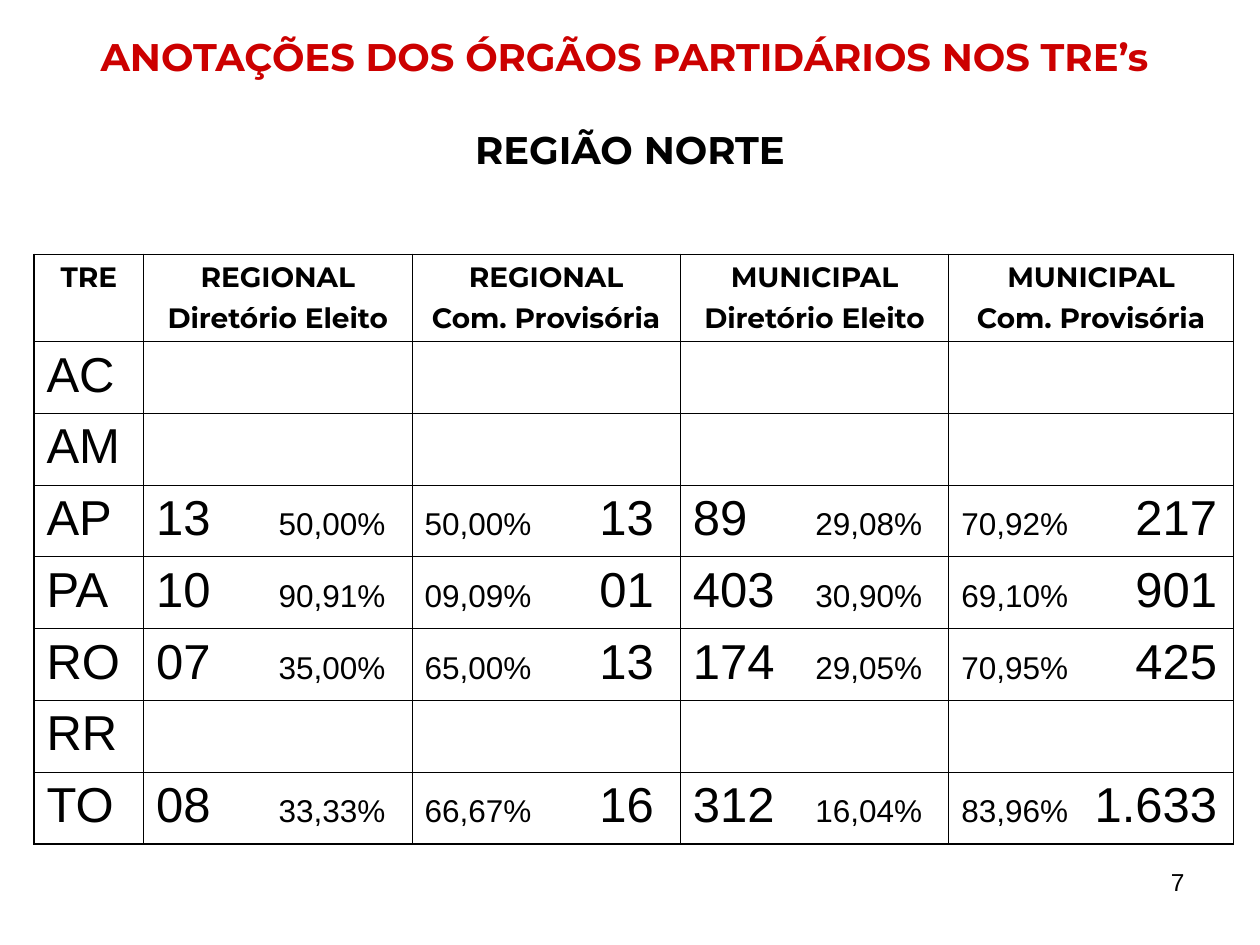
from lxml import etree
from pptx import Presentation
from pptx import util as u
from pptx.dml.color import RGBColor
from pptx.enum import text
from pptx.oxml import ns

W, H = 10, 7.5
BLACK, RED = "000000", "CC0000"
HEAD, BODY = "Montserrat", "Arial"
COLS = [0.87, 2.13, 2.13, 2.13, 2.26]
ROWS = [0.69] + [0.57] * 7
TABS = [None, 1.82, 1.82, 1.82, 2.03]
THIN, THICK = 0.45, 1.08
LEFT, CENTER, RIGHT = (text.PP_ALIGN.LEFT, text.PP_ALIGN.CENTER,
                       text.PP_ALIGN.RIGHT)

HEADERS = ["TRE", "REGIONAL\nDiretório Eleito", "REGIONAL\nCom. Provisória",
           "MUNICIPAL\nDiretório Eleito", "MUNICIPAL\nCom. Provisória"]
STATES = {
    "AC": [],
    "AM": [],
    "AP": [("13", "50,00%"), ("50,00%", "13"), ("89", "29,08%"), ("70,92%", "217")],
    "PA": [("10", "90,91%"), ("09,09%", "01"), ("403", "30,90%"), ("69,10%", "901")],
    "RO": [("07", "35,00%"), ("65,00%", "13"), ("174", "29,05%"), ("70,95%", "425")],
    "RR": [],
    "TO": [("08", "33,33%"), ("66,67%", "16"), ("312", "16,04%"), ("83,96%", "1.633")],
}


def paint(font, color):
    font.color.rgb = RGBColor.from_string(color)


def style(p, size, name, color=BLACK, bold=False, align=LEFT, before=0):
    p.alignment = align
    p.space_before = u.Pt(before)
    p.font.size, p.font.name, p.font.bold = u.Pt(size), name, bold
    paint(p.font, color)


def add_text(s, x, y, w, h):
    sp = s.shapes.add_textbox(*(u.Inches(v) for v in (x * W, y * H, w * W, h * H)))
    sp.text_frame.word_wrap = True
    return sp.text_frame


def add_tab(p, position):
    pPr = p._p.get_or_add_pPr()
    tabs = etree.Element(ns.qn("a:tabLst"))
    etree.SubElement(tabs, ns.qn("a:tab"), pos=str(u.Inches(position)), algn="r")
    pPr.find(ns.qn("a:defRPr")).addprevious(tabs)


def add_borders(cell, widths):
    tcPr = cell._tc.get_or_add_tcPr()
    for side, width in zip("LRTB", widths):
        ln = etree.SubElement(tcPr, ns.qn(f"a:ln{side}"), w=str(u.Pt(width)))
        fill = etree.SubElement(ln, ns.qn("a:solidFill"))
        etree.SubElement(fill, ns.qn("a:srgbClr"), val=BLACK)
    cell.fill.background()


def fill_header(cell, label):
    cell.text_frame.text = label
    for p in cell.text_frame.paragraphs:
        style(p, 16, HEAD, bold=True, align=CENTER, before=4)


def fill_state(cell, name):
    cell.text_frame.text = name
    style(cell.text_frame.paragraphs[0], 28, BODY, before=7)


def fill_pair(cell, pair, position):
    p = cell.text_frame.paragraphs[0]
    style(p, 28, BODY, before=4.5 if pair[1].endswith("%") else 7)
    add_tab(p, position)
    for value, lead in zip(pair, ("", "\t")):
        r = p.add_run()
        r.text = lead + value
        r.font.size = u.Pt(18 if value.endswith("%") else 28)


def add_grid(s):
    frame = s.shapes.add_table(len(ROWS), len(COLS), u.Inches(0.27), u.Inches(2.02),
                               u.Inches(sum(COLS)), u.Inches(sum(ROWS)))
    table = frame.table
    table.first_row = table.horz_banding = False
    for col, width in zip(table.columns, COLS):
        col.width = u.Inches(width)
    for row, height in zip(table.rows, ROWS):
        row.height = u.Inches(height)
    for i in range(len(ROWS)):
        for j in range(len(COLS)):
            edges = (j == 0, j == len(COLS) - 1, i == 0, i == len(ROWS) - 1)
            add_borders(table.cell(i, j), [THICK if e else THIN for e in edges])
    for j, label in enumerate(HEADERS):
        fill_header(table.cell(0, j), label)
    for i, (state, pairs) in enumerate(STATES.items(), 1):
        fill_state(table.cell(i, 0), state)
        for j, pair in enumerate(pairs, 1):
            fill_pair(table.cell(i, j), pair, TABS[j])


def add_heading(s):
    tf = add_text(s, 0.02, 0.028, 0.96, 0.405)
    tf.text = "ANOTAÇÕES DOS ÓRGÃOS PARTIDÁRIOS NOS TRE’s \nREGIÃO NORTE"
    title, region = tf.paragraphs
    style(title, 22, HEAD, RED, True, CENTER)
    style(region, 22, HEAD, BLACK, True, CENTER, before=26.8)


def add_page_number(s):
    tf = add_text(s, 0.717, 0.911, 0.233, 0.069)
    tf.text = "7"
    style(tf.paragraphs[0], 14, BODY, align=RIGHT)


def main():
    prs = Presentation()
    prs.slide_width, prs.slide_height = u.Inches(W), u.Inches(H)
    s = prs.slides.add_slide(prs.slide_layouts[6])
    add_heading(s)
    add_grid(s)
    add_page_number(s)
    prs.save("out.pptx")


if __name__ == "__main__":
    main()
